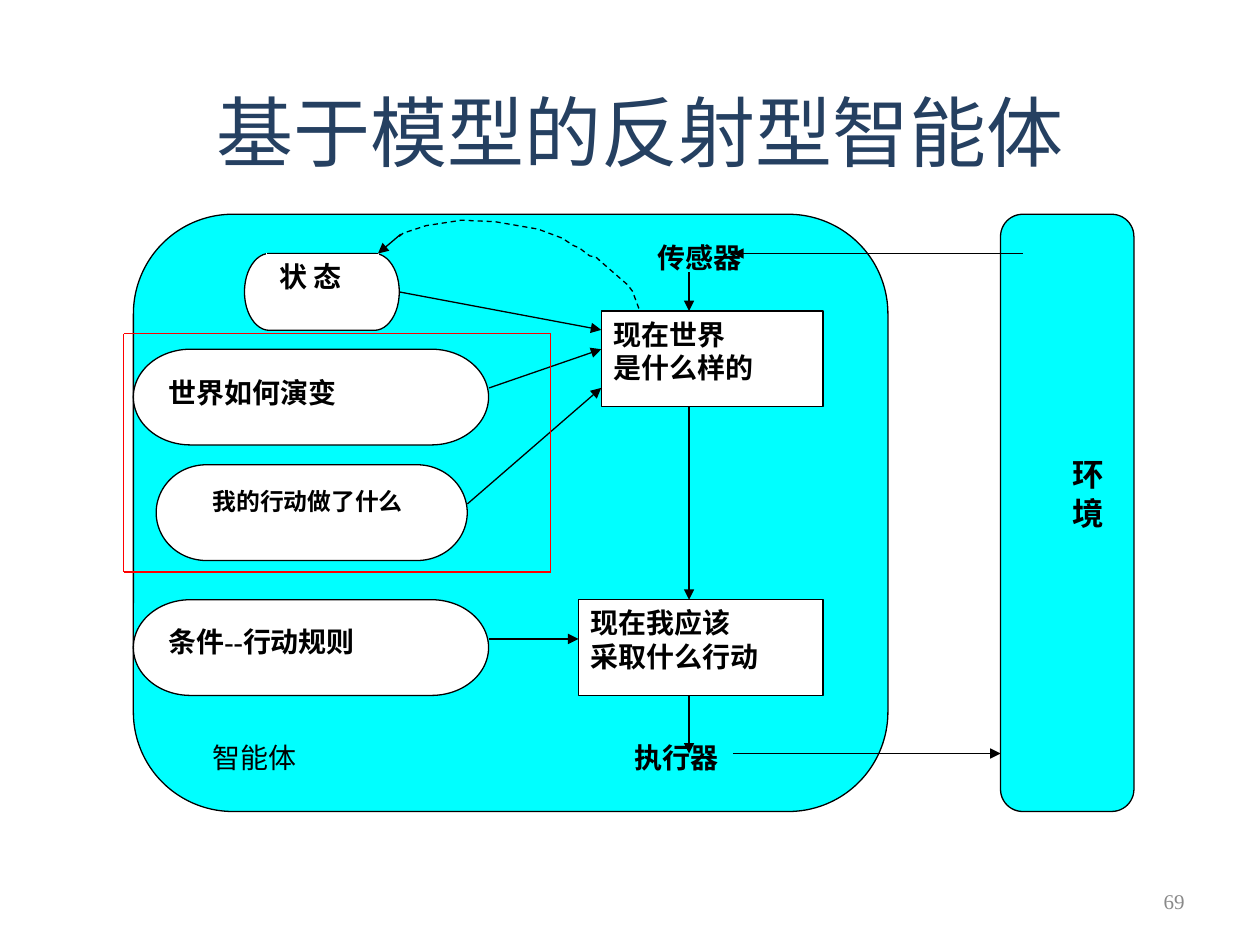
from lxml.etree import SubElement
from pptx import Presentation
from pptx.dml.color import RGBColor
from pptx.enum.dml import MSO_LINE_DASH_STYLE as Dash
from pptx.enum.shapes import MSO_CONNECTOR as Link, MSO_SHAPE as Shape
from pptx.enum.text import MSO_ANCHOR as Anchor, PP_ALIGN as Align
from pptx.oxml.ns import qn
from pptx.util import Cm, Pt

BLACK = RGBColor(0x00, 0x00, 0x00)
WHITE = RGBColor(0xFF, 0xFF, 0xFF)
CYAN = RGBColor(0x00, 0xFF, 0xFF)
RED = RGBColor(0xFF, 0x00, 0x00)
NAVY = RGBColor(0x25, 0x40, 0x61)
GREY = RGBColor(0x89, 0x89, 0x89)
SERIF, SANS = "Times New Roman", "Noto Sans CJK SC"
THIN = Pt(0.75)


def write(box, text, align, color, anchor=Anchor.TOP, spacing=None, **font):
    """Fill a shape with one formatted paragraph per line of text."""
    frame = box.text_frame
    frame.word_wrap = True
    frame.vertical_anchor = anchor
    for number, line in enumerate(text.split("\n")):
        para = frame.add_paragraph() if number else frame.paragraphs[0]
        para.alignment = align
        if spacing:
            para.line_spacing = spacing
        span = para.add_run()
        span.text = line
        span.font.color.rgb = color
        for name, value in font.items():
            setattr(span.font, name, value)
        SubElement(span.font._element, qn("a:ea"), typeface=SANS)


def draw_line(start, end, color=BLACK, arrow=False):
    points = [Cm(value) for value in (*start, *end)]
    line = page.shapes.add_connector(Link.STRAIGHT, *points)
    line.line.color.rgb = color
    line.line.width = THIN
    if arrow:
        SubElement(line.line._get_or_add_ln(), qn("a:tailEnd"), type="triangle")
    SubElement(line._element.spPr, qn("a:effectLst"))
    return line


deck = Presentation()
deck.slide_width, deck.slide_height = Cm(25.4), Cm(19.05)
page = deck.slides.add_slide(deck.slide_layouts[5])

title = page.shapes.title
place = {"left": 2.11, "top": 1.52, "width": 21.59, "height": 2.21}
for name, value in place.items():
    setattr(title, name, Cm(value))
write(title, "基于模型的反射型智能体", Align.CENTER, NAVY, Anchor.MIDDLE,
      size=Pt(44), name=SANS)

number_box = page.shapes.add_textbox(Cm(18.21), Cm(17.65), Cm(5.92), Cm(1.02))
write(number_box, "69", Align.RIGHT, GREY, Anchor.MIDDLE, size=Pt(12), name=SERIF)

# Outlines and labels, back to front: kind, position and size, fill, line, text
ROUND, RECT, PILL = Shape.ROUNDED_RECTANGLE, Shape.RECTANGLE, Shape.FLOWCHART_TERMINATOR
parts = {
    "agent": (ROUND, (2.69, 4.32, 15.21, 12.04), CYAN, BLACK, ""),
    "environment": (ROUND, (20.17, 4.32, 2.69, 12.04), CYAN, BLACK, ""),
    "sensor": (RECT, (13, 4.72, 3.12, 1.17), CYAN, CYAN, "传感器"),
    "world": (RECT, (12.12, 6.27, 4.47, 1.93), WHITE, BLACK, "现在世界\n是什么样的"),
    "action": (RECT, (11.66, 12.09, 4.93, 1.93), WHITE, BLACK, "现在我应该\n采取什么行动"),
    "actuator": (RECT, (12.55, 14.81, 3.15, 1.17), CYAN, CYAN, "执行器"),
    "state": (PILL, (4.93, 5.11, 3.12, 1.55), WHITE, BLACK, ""),
    "state label": (RECT, (5.38, 5.11, 2.24, 1.17), WHITE, WHITE, "状 态"),
    "evolution": (PILL, (2.69, 7.04, 7.16, 1.93), WHITE, BLACK, ""),
    "evolution label": (RECT, (3.15, 7.44, 5.82, 1.17), WHITE, WHITE, "世界如何演变"),
    "effects": (PILL, (3.15, 9.37, 6.27, 1.93), WHITE, BLACK, ""),
    "effects label": (RECT, (4.04, 9.75, 4.47, 1.17), WHITE, WHITE, "我的行动做了什么"),
    "rules": (PILL, (2.69, 12.09, 7.16, 1.93), WHITE, BLACK, ""),
    "rules label": (RECT, (3.15, 12.47, 5.82, 1.17), WHITE, WHITE, "条件--行动规则"),
    "agent label": (RECT, (4.04, 14.81, 2.24, 1.17), CYAN, CYAN, "智能体"),
    "environment label": (RECT, (20.62, 8.99, 1.8, 3.12), CYAN, CYAN, "环 境"),
}
label_format = {"size": Pt(16), "bold": True, "name": SERIF}
special_format = {
    "effects label": {"size": Pt(13.6), "spacing": 0.9},
    "agent label": {"bold": False},
    "environment label": {"size": Pt(18)},
}
boxes = {}
for key, (kind, area, fill, edge, text) in parts.items():
    box = boxes[key] = page.shapes.add_shape(kind, *[Cm(value) for value in area])
    box.shadow.inherit = False
    box.fill.solid()
    box.fill.fore_color.rgb = fill
    box.line.color.rgb = edge
    box.line.width = THIN
    if text:
        write(box, text, Align.JUSTIFY, BLACK,
              **{**label_format, **special_format.get(key, {})})

vertical = boxes["environment label"].text_frame
vertical._txBody.bodyPr.set("vert", "eaVert")
margins = {"left": 0.13, "right": 0.13, "top": 0.25, "bottom": 0.25}
for side, value in margins.items():
    setattr(vertical, f"margin_{side}", Cm(value))

arrows = [
    ((20.62, 5.11), (14.78, 5.11)),
    ((13.89, 5.49), (13.89, 6.27)),
    ((13.89, 8.2), (13.89, 12.09)),
    ((13.89, 14.02), (13.89, 15.19)),
    ((14.78, 15.19), (20.17, 15.19)),
    ((9.86, 7.82), (12.12, 7.04)),
    ((9.42, 10.16), (12.12, 7.82)),
    ((9.86, 12.88), (11.66, 12.88)),
    ((8.08, 4.72), (7.62, 5.11)),
]
for start, end in arrows:
    draw_line(start, end, arrow=True)
state_arrow = draw_line((8.05, 5.88), (12.12, 6.65), arrow=True)
state_arrow.begin_connect(boxes["state"], 3)
draw_line((5.38, 5.11), (7.62, 5.11))

# Dashed feedback from the world box to the state
feedback_points = [
    (12.88, 6.22), (12.75, 5.87), (12.65, 5.74), (12.12, 5.28), (12.01, 5.18),
    (11.89, 5.16), (11.68, 5), (11.56, 4.95), (11.33, 4.8), (10.85, 4.62),
    (9.98, 4.47), (9.3, 4.44), (8.59, 4.55), (8.13, 4.7), (8.03, 4.78),
]
first, *others = [(Cm(x), Cm(y)) for x, y in feedback_points]
builder = page.shapes.build_freeform(*first)
builder.add_line_segments(others, close=False)
feedback = builder.convert_to_shape()
feedback.shadow.inherit = False
feedback.fill.background()
feedback.line.color.rgb = BLACK
feedback.line.width = THIN
feedback.line.dash_style = Dash.DASH

# Red frame around the two kinds of world knowledge
left, top, right, bottom = 2.49, 6.73, 11.1, 11.53
corners = [(left, top), (right, top), (right, bottom), (left, bottom)]
for start, end in zip(corners, corners[1:] + corners[:1]):
    draw_line(start, end, RED)

deck.save("out.pptx")
